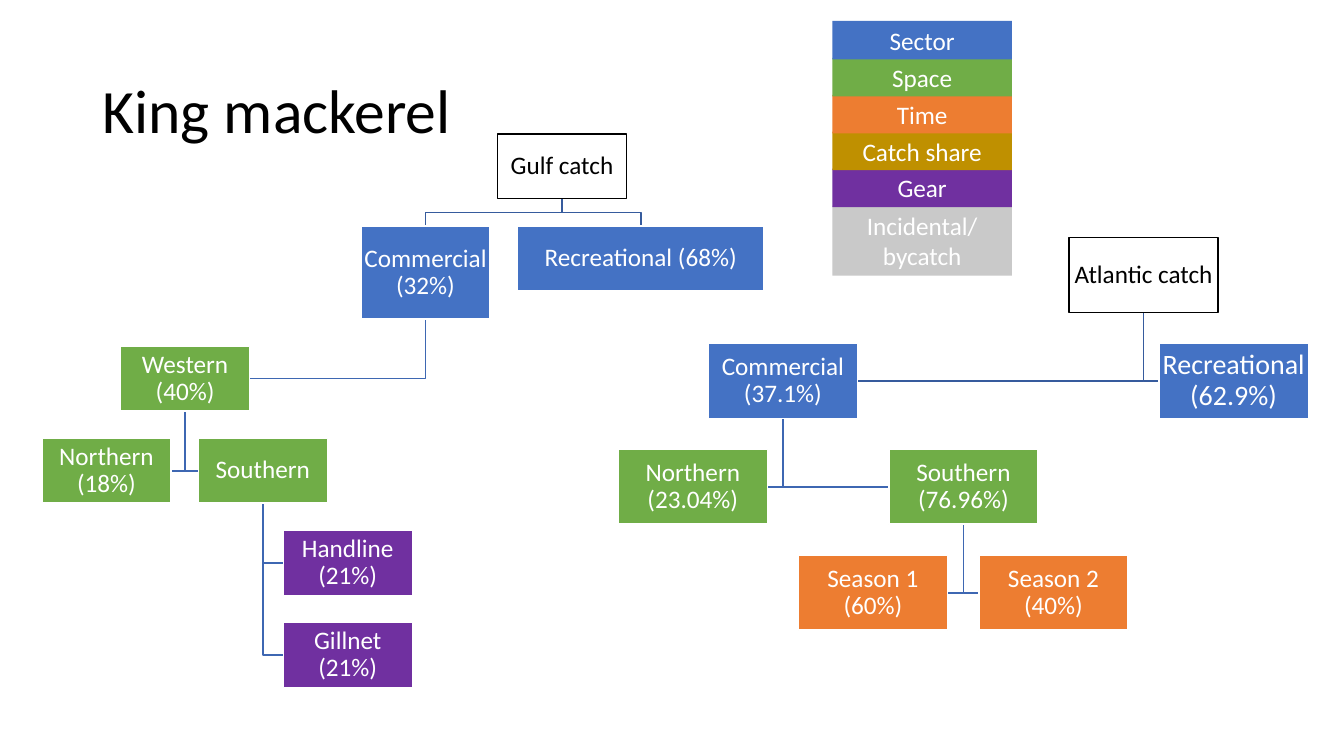
import pptx
import pptx.util
import pptx.dml.color
import pptx.enum.shapes
import pptx.enum.text

Cm, Pt = pptx.util.Cm, pptx.util.Pt
RGBColor = pptx.dml.color.RGBColor
MIDDLE = pptx.enum.text.MSO_ANCHOR.MIDDLE
ALIGN = pptx.enum.text.PP_ALIGN

WHITE = RGBColor(0xFF, 0xFF, 0xFF)
BLACK = RGBColor(0, 0, 0)
BLUE = RGBColor(0x44, 0x72, 0xC4)
GREEN = RGBColor(0x70, 0xAD, 0x47)
ORANGE = RGBColor(0xED, 0x7D, 0x31)
GOLD = RGBColor(0xBF, 0x90, 0x00)
PURPLE = RGBColor(0x70, 0x30, 0xA0)
GREY = RGBColor(0xC9, 0xC9, 0xC9)
UPPER_LINK = RGBColor(0x36, 0x5B, 0x9D)
LOWER_LINK = RGBColor(0x3E, 0x67, 0xB2)

TITLE = "King mackerel"
LEGEND = [
    ("Sector", BLUE), ("Space", GREEN), ("Time", ORANGE),
    ("Catch share", GOLD), ("Gear", PURPLE), ("Incidental/\nbycatch", GREY),
]
LEGEND_LEFT, LEGEND_TOP, LEGEND_WIDTH = 20.98, 0.53, 4.52
LEGEND_PITCH, LEGEND_HEIGHT, LEGEND_LAST_HEIGHT = 0.93, 0.97, 1.77

# Nodes: label, parent, left in cm, fill, and any differing settings.
# "skip" counts the rows left free between a box and its parent.
GULF = {
    "top": 3.38, "width": 3.25, "height": 1.63, "gap": 0.69, "forked_root": True,
    "nodes": [
        ("Gulf catch", None, 12.54, WHITE, {}),
        ("Commercial (32%)", "Gulf catch", 9.1, BLUE, {"height": 2.34}),
        ("Recreational (68%)", "Gulf catch", 13.05, BLUE, {"width": 6.2}),
        ("Western (40%)", "Commercial (32%)", 3.04, GREEN, {}),
        ("Northern (18%)", "Western (40%)", 1.06, GREEN, {}),
        ("Southern", "Western (40%)", 5.0, GREEN, {}),
        ("Handline (21%)", "Southern", 7.14, PURPLE, {}),
        ("Gillnet (21%)", "Southern", 7.14, PURPLE, {"skip": 1}),
    ],
}
ATLANTIC = {
    "top": 5.99, "width": 3.76, "height": 1.88, "gap": 0.79, "forked_root": False,
    "nodes": [
        ("Atlantic catch", None, 26.94, WHITE, {}),
        ("Commercial (37.1%)", "Atlantic catch", 17.85, BLUE, {}),
        ("Recreational (62.9%)", "Atlantic catch", 29.21, BLUE, {"size": 20}),
        ("Northern (23.04%)", "Commercial (37.1%)", 15.58, GREEN, {}),
        ("Southern (76.96%)", "Commercial (37.1%)", 22.4, GREEN, {}),
        ("Season 1 (60%)", "Southern (76.96%)", 20.12, ORANGE, {}),
        ("Season 2 (40%)", "Southern (76.96%)", 24.67, ORANGE, {}),
    ],
}


def add_box(page, label, place, fill, line=None, size=18, margin=None, spacing=None):
    left, top, width, height = place
    box = page.shapes.add_shape(
        pptx.enum.shapes.MSO_SHAPE.RECTANGLE, Cm(left), Cm(top), Cm(width), Cm(height))
    box.shadow.inherit = False
    box.fill.solid()
    box.fill.fore_color.rgb = fill
    if line is None:
        box.line.fill.background()
    else:
        box.line.color.rgb = line
        box.line.width = Pt(1)
    frame = box.text_frame
    frame.word_wrap = True
    frame.vertical_anchor = MIDDLE
    if margin is not None:
        frame.margin_left = frame.margin_right = Cm(margin)
        frame.margin_top = frame.margin_bottom = Cm(margin)
    frame.text = label
    for para in frame.paragraphs:
        para.alignment = ALIGN.CENTER
        if spacing is not None:
            para.line_spacing = spacing
        for span in para.runs:
            span.font.name = "Calibri"
            span.font.size = Pt(size)
            span.font.color.rgb = BLACK if fill == WHITE else WHITE


def add_link(page, points, color):
    points = [(Cm(x), Cm(y)) for x, y in points]
    builder = page.shapes.build_freeform(*points[0], scale=1.0)
    builder.add_line_segments(points[1:], close=False)
    link = builder.convert_to_shape()
    link.shadow.inherit = False
    link.fill.background()
    link.line.color.rgb = color
    link.line.width = Pt(1)


def link_points(parent, child, gap, forked):
    """Route from the parent's bottom to the child's top (forked) or nearest side."""
    left, top, width, height = parent
    start_x, start_y = left + width / 2, top + height
    left, top, width, height = child
    if forked:
        end_x, turn_y = left + width / 2, start_y + gap / 2
        return [(start_x, start_y), (start_x, turn_y), (end_x, turn_y), (end_x, top)]
    end_x = left if left > start_x else left + width
    end_y = top + height / 2
    return [(start_x, start_y), (start_x, end_y), (end_x, end_y)]


def add_tree(page, tree):
    places = {}
    gap = tree["gap"]
    for label, parent, left, fill, extra in tree["nodes"]:
        height = extra.get("height", tree["height"])
        top = tree["top"]
        if parent:
            top = places[parent][1] + places[parent][3] + gap
            top += extra.get("skip", 0) * (tree["height"] + gap)
        places[label] = (left, top, extra.get("width", tree["width"]), height)
    root = tree["nodes"][0][0]
    for label, parent, *rest in tree["nodes"][1:]:
        under_root = parent == root
        points = link_points(places[parent], places[label], gap,
                             under_root and tree["forked_root"])
        add_link(page, points, UPPER_LINK if under_root else LOWER_LINK)
    for label, parent, left, fill, extra in tree["nodes"]:
        add_box(page, label, places[label], fill, WHITE if parent else BLACK,
                extra.get("size", 18), margin=0.03, spacing=0.9)


def add_title(page):
    title = page.shapes.title
    title.left, title.top, title.width, title.height = Cm(2.33), Cm(1.01), Cm(29.21), Cm(3.68)
    title.text_frame.text = TITLE
    title.text_frame.vertical_anchor = MIDDLE
    para = title.text_frame.paragraphs[0]
    para.alignment = ALIGN.LEFT
    para.line_spacing = 0.9
    font = para.runs[0].font
    font.name, font.size = "Calibri", Pt(44)
    font.color.rgb = BLACK


def add_legend(page):
    last = len(LEGEND) - 1
    for row, (label, fill) in reversed(list(enumerate(LEGEND))):
        height = LEGEND_LAST_HEIGHT if row == last else LEGEND_HEIGHT
        place = (LEGEND_LEFT, LEGEND_TOP + row * LEGEND_PITCH, LEGEND_WIDTH, height)
        add_box(page, label, place, fill)


def main():
    deck = pptx.Presentation()
    deck.slide_width, deck.slide_height = Cm(33.87), Cm(19.05)
    page = deck.slides.add_slide(deck.slide_layouts[5])
    add_title(page)
    add_tree(page, GULF)
    add_tree(page, ATLANTIC)
    add_legend(page)
    deck.save("out.pptx")


if __name__ == "__main__":
    main()
